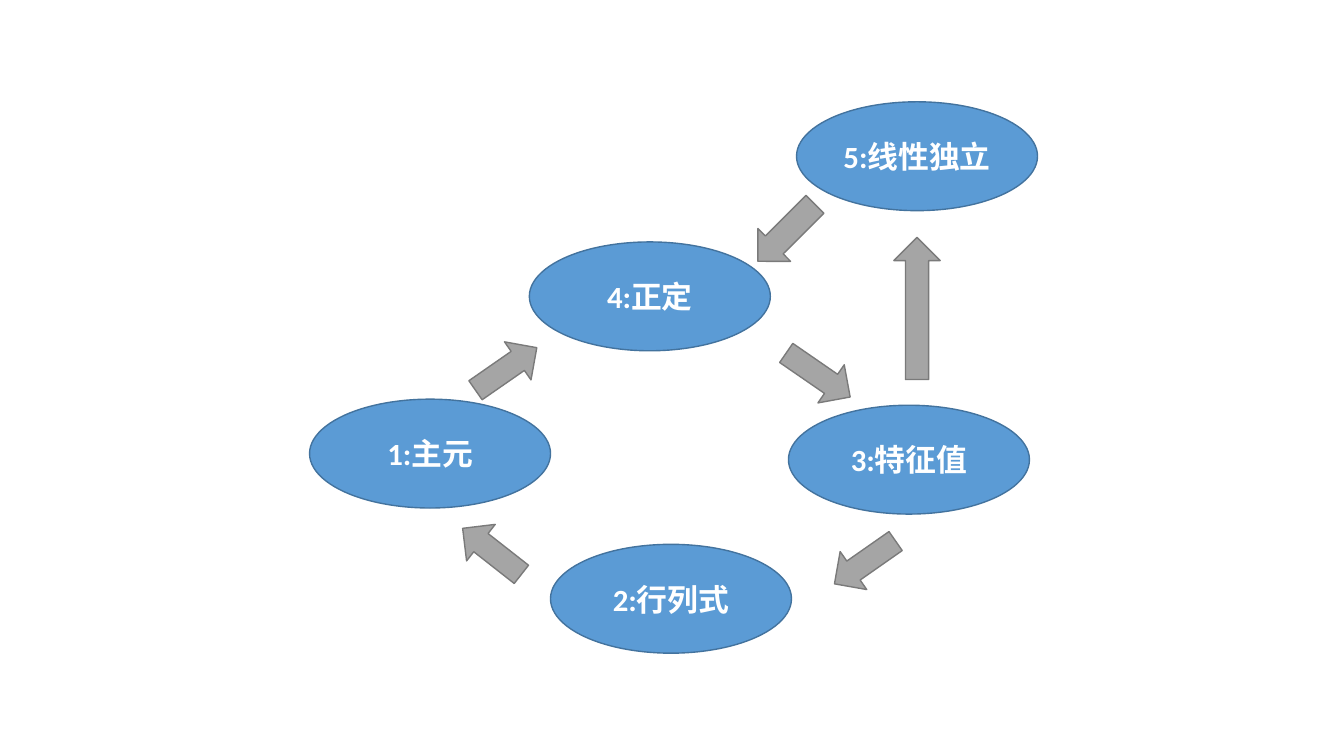
from pptx import Presentation
from pptx.dml.color import RGBColor
from pptx.enum.shapes import MSO_SHAPE
from pptx.enum.text import MSO_ANCHOR, PP_ALIGN
from pptx.util import Inches, Pt

COLORS = {
    "concept": "5B9BD5",
    "concept_line": "43739E",
    "arrow": "A5A5A5",
    "arrow_line": "7A7A7A",
    "text": "FFFFFF",
}
FONT_FORMAT = {"name": "Calibri", "size": Pt(22), "bold": True}
CONCEPT_SIZE = (2.39, 1.08)
ARROW_HEIGHT = 0.46

# text, left, top
CONCEPTS = [
    ("4:正定", 5.25, 2.4),
    ("1:主元", 3.07, 3.96),
    ("3:特征值", 7.82, 4.02),
    ("2:行列式", 5.46, 5.4),
    ("5:线性独立", 7.9, 1.01),
]
# left, top, length, rotation, shaft thickness
ARROWS = [
    (7.73, 3.49, 0.77, 214.6, 0.5),
    (4.65, 3.43, 0.74, 145.2, 0.5),
    (8.21, 5.35, 0.74, 325, 0.5),
    (4.51, 5.24, 0.74, 38.1, 0.5),
    (8.39, 2.83, 1.41, 90, 0.5),
    (7.4, 2.08, 0.8, 315.1, 0.545),
]


def add_filled_shape(slide, preset, box, role):
    """Add a preset shape in the fill and line colours of its role."""
    shape = slide.shapes.add_shape(preset, *map(Inches, box))
    shape.shadow.inherit = False
    shape.fill.solid()
    shape.fill.fore_color.rgb = RGBColor.from_string(COLORS[role])
    shape.line.color.rgb = RGBColor.from_string(COLORS[role + "_line"])
    shape.line.width = Pt(1)
    return shape


def add_concept(slide, text, left, top):
    """Add an ellipse with a centred label."""
    shape = add_filled_shape(slide, MSO_SHAPE.OVAL, (left, top, *CONCEPT_SIZE), "concept")
    shape.text_frame.word_wrap = True
    shape.text_frame.vertical_anchor = MSO_ANCHOR.MIDDLE
    paragraph = shape.text_frame.paragraphs[0]
    paragraph.alignment = PP_ALIGN.CENTER
    run = paragraph.add_run()
    run.text = text
    for name, value in FONT_FORMAT.items():
        setattr(run.font, name, value)
    run.font.color.rgb = RGBColor.from_string(COLORS["text"])


def add_arrow(slide, left, top, length, rotation, thickness):
    """Add a rotated block arrow."""
    box = (left, top, length, ARROW_HEIGHT)
    shape = add_filled_shape(slide, MSO_SHAPE.LEFT_ARROW, box, "arrow")
    shape.rotation = rotation
    shape.adjustments[0] = thickness


presentation = Presentation()
presentation.slide_width = Inches(13.33)
presentation.slide_height = Inches(7.5)
slide = presentation.slides.add_slide(presentation.slide_layouts[6])
for concept in CONCEPTS:
    add_concept(slide, *concept)
for arrow in ARROWS:
    add_arrow(slide, *arrow)
presentation.save("out.pptx")
